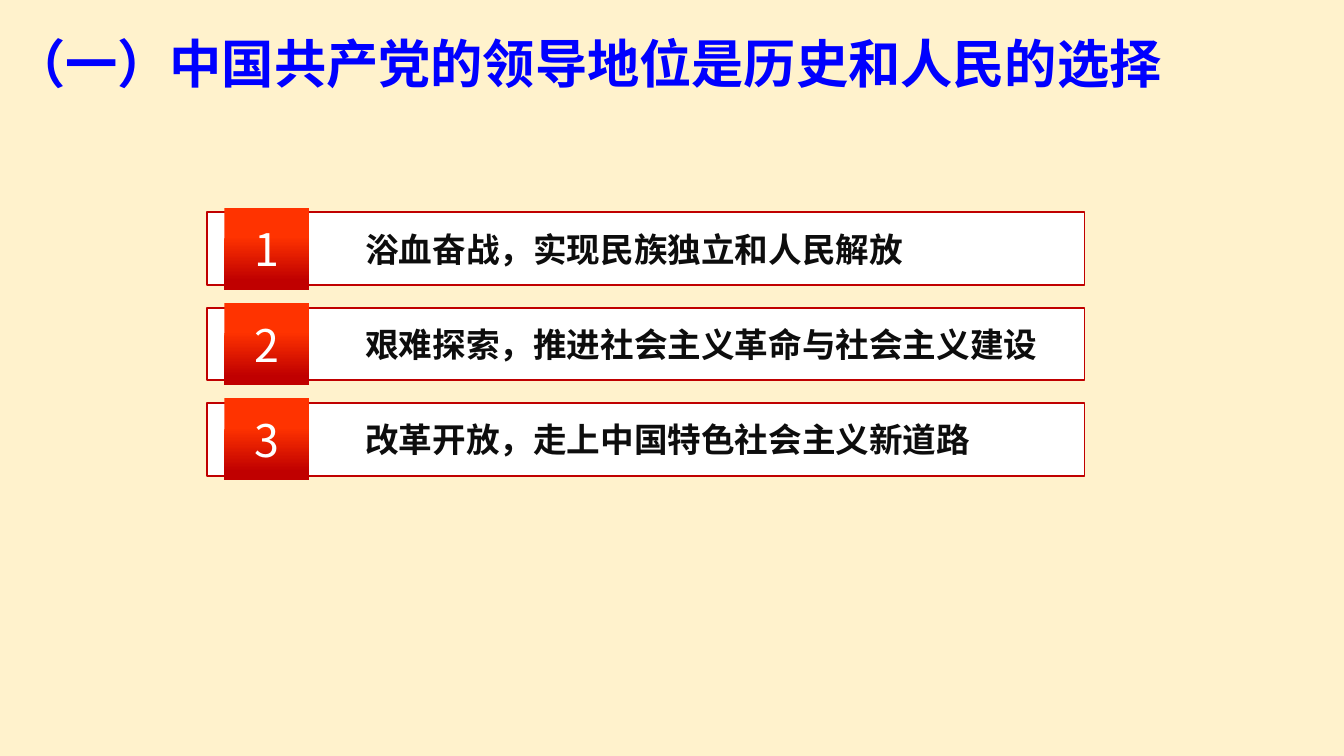
from lxml import etree
from pptx import Presentation
from pptx.dml.color import RGBColor
from pptx.enum.shapes import MSO_SHAPE
from pptx.enum.text import MSO_ANCHOR, PP_ALIGN
from pptx.oxml.ns import qn
from pptx.util import Inches, Pt

RECTANGLE = MSO_SHAPE.RECTANGLE
MIDDLE = MSO_ANCHOR.MIDDLE
LEFT, CENTER = PP_ALIGN.LEFT, PP_ALIGN.CENTER
CJK_FONT = "Noto Sans CJK SC"
COLORS = {
    "cream": "FFF2CC", "white": "FFFFFF", "crimson": "C00000",
    "scarlet": "FF3300", "ink": "0D0D0D", "blue": "0000FF",
}
TITLE = "（一）中国共产党的领导地位是历史和人民的选择"
TOPICS = [
    "浴血奋战，实现民族独立和人民解放",
    "艰难探索，推进社会主义革命与社会主义建设",
    "改革开放，走上中国特色社会主义新道路",
]

# Grid in inches: one row per topic, label width follows its text
FIRST_ROW, ROW_PITCH = 1.85, 0.71
BAR_LEFT, BAR_WIDTH, BAR_HEIGHT = 1.54, 6.53, 0.54
BADGE_LEFT, BADGE_WIDTH, BADGE_HEIGHT = 1.67, 0.63, 0.61
LABEL_LEFT, LABEL_HEIGHT = 2.62, 0.4
LABEL_MARGINS, CHARACTER_WIDTH = 0.23, 0.25


def color(name):
    return RGBColor.from_string(COLORS[name])


def write(shape, text, size, ink, bold=False, align=LEFT, font=CJK_FONT):
    frame = shape.text_frame
    frame.word_wrap = True
    frame.vertical_anchor = MIDDLE
    para = frame.paragraphs[0]
    para.alignment = align
    span = para.add_run()
    span.text = text
    span.font.size = Pt(size)
    span.font.bold = bold
    span.font.name = font
    span.font.color.rgb = color(ink)
    east_asian = etree.SubElement(span.font._element, qn("a:ea"))
    east_asian.set("typeface", CJK_FONT)


# Widescreen page
deck = Presentation()
deck.slide_width = Inches(10)
deck.slide_height = deck.slide_width * 9 // 16
page = deck.slides.add_slide(deck.slide_layouts[6])
page.background.fill.solid()
page.background.fill.fore_color.rgb = color("cream")

# Numbered topics
for row, topic in enumerate(TOPICS):
    middle = FIRST_ROW + row * ROW_PITCH

    bar = page.shapes.add_shape(
        RECTANGLE, Inches(BAR_LEFT), Inches(middle - BAR_HEIGHT / 2),
        Inches(BAR_WIDTH), Inches(BAR_HEIGHT))
    bar.shadow.inherit = False
    bar.fill.solid()
    bar.fill.fore_color.rgb = color("white")
    bar.line.color.rgb = color("crimson")
    bar.line.width = Pt(1)

    label = page.shapes.add_textbox(
        Inches(LABEL_LEFT), Inches(middle - LABEL_HEIGHT / 2),
        Inches(LABEL_MARGINS + CHARACTER_WIDTH * len(topic)),
        Inches(LABEL_HEIGHT))
    write(label, topic, 18, "ink", bold=True)

    badge = page.shapes.add_shape(
        RECTANGLE, Inches(BADGE_LEFT), Inches(middle - BADGE_HEIGHT / 2),
        Inches(BADGE_WIDTH), Inches(BADGE_HEIGHT))
    badge.shadow.inherit = False
    badge.line.fill.background()
    badge.fill.gradient()
    badge.fill.gradient_angle = 270
    stops = zip(badge.fill.gradient_stops, (0.35, 0.89), ("scarlet", "crimson"))
    for stop, position, shade in stops:
        stop.position = position
        stop.color.rgb = color(shade)
    write(badge, str(row + 1), 24, "white", align=CENTER)

# Title
title = page.shapes.add_textbox(0, Inches(0.18), Inches(9.72), Inches(0.57))
write(title, TITLE, 28, "blue", bold=True, font="Arial")

deck.save("out.pptx")
